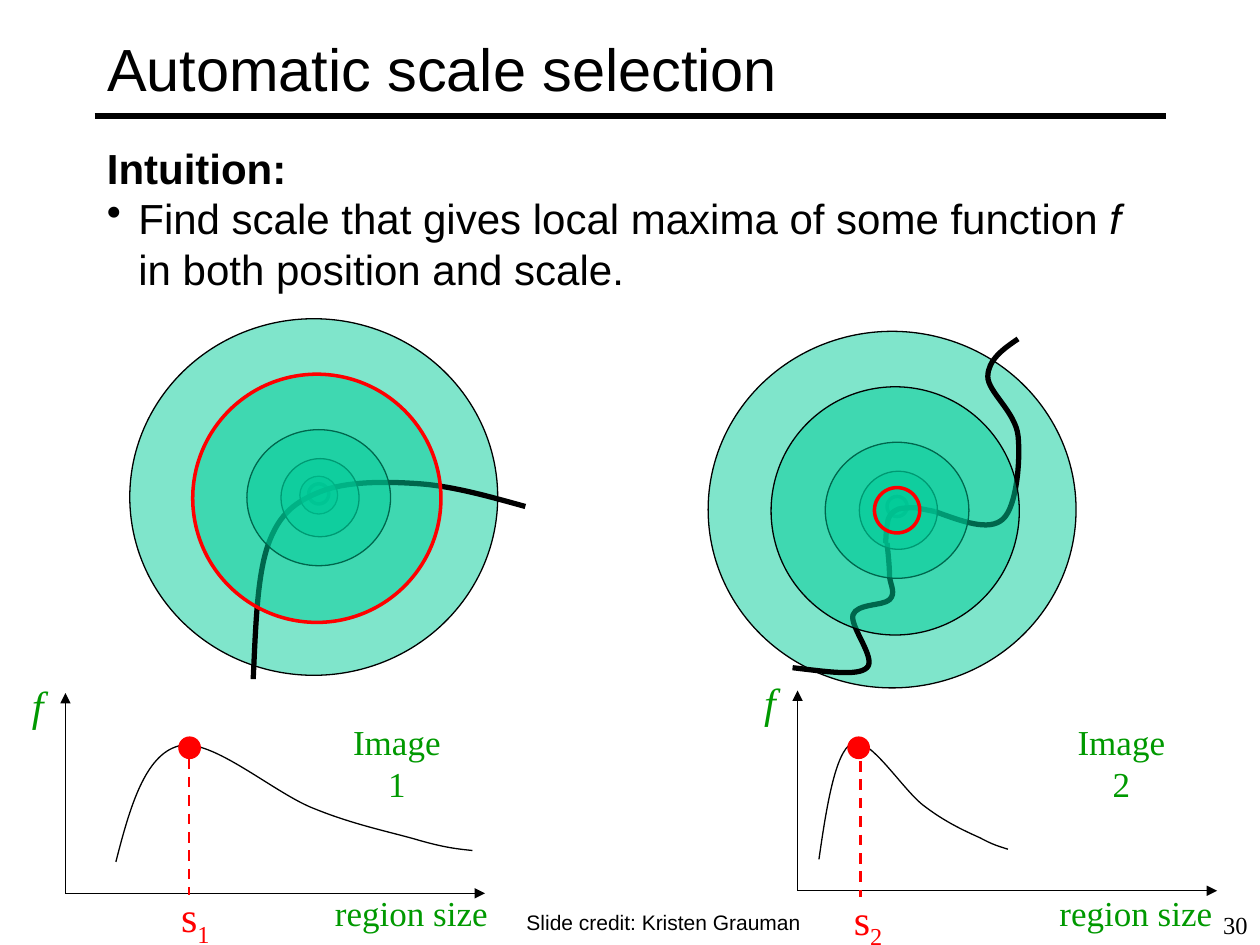
from lxml import etree
from pptx import Presentation
from pptx.dml.color import RGBColor
from pptx.enum import dml, shapes, text
from pptx.oxml.ns import qn
from pptx.util import Inches, Pt


class Theme:
    sans, serif = "Arial", "Times New Roman"
    black, green, red, teal = "000000", "009900", "FF0000", "00CC99"
    title, body, symbol, label, credit, number = 34, 24, 24, 20, 12, 14
    thin, dash, ring, thick = 0.75, 1.5, 2, 3


# Content: runs are (text, format) pairs
TITLE = "Automatic scale selection"
BODY = [
    [("Intuition:", {"bold": True})],
    [("Find scale that gives local maxima of some function ", {}),
     ("f ", {"italic": True}),
     ("in both position and scale.", {})],
]
CREDIT, NUMBER = "Slide credit: Kristen Grauman", "30"

# Rings shared by both images, relative to the image offset
CORE = (2.45, 3.84, 0.16, 0.16)
OUTER = (1.03, 2.53, 2.92, 2.83)
INNER = [(2.23, 3.64, 0.62, 0.62), (1.96, 3.41, 1.14, 1.08), (1.53, 2.97, 1.97, 1.97)]

# Curves list a start point, then three Bezier points for each segment
IMAGES = [
    {
        "name": "Image 1", "scale": "1", "offset": (0, 0),
        "small": (2.38, 3.78, 0.3, 0.3), "best": INNER[-1],
        "edges": [[(2.01, 5.39), (2.03, 4.98), (2.04, 4.57), (2.13, 4.32),
                   (2.22, 4.07), (2.35, 3.98), (2.55, 3.9),
                   (2.75, 3.82), (3.06, 3.82), (3.33, 3.84),
                   (3.6, 3.86), (3.88, 3.94), (4.17, 4.02)]],
        "origin": (0.52, 7.09), "label_left": 2.56, "name_left": 2.6,
        "response": [(0.92, 6.84), (1.03, 6.41), (1.15, 5.99), (1.42, 5.92),
                     (1.68, 5.85), (2.18, 6.3), (2.5, 6.42),
                     (2.82, 6.55), (3.13, 6.61), (3.33, 6.67),
                     (3.54, 6.73), (3.65, 6.74), (3.75, 6.75)],
        "dot_left": 1.42, "peak": (1.5, 6.02), "peak_label": (1.33, 7.02),
    },
    {
        "name": "Image 2", "scale": "2", "offset": (4.59, 0.1),
        "small": (2.35, 3.77, 0.36, 0.36), "best": (2.35, 3.77, 0.36, 0.36),
        "edges": [[(7.42, 4.06), (7.64, 4.14), (7.85, 4.22), (7.96, 4.12),
                   (8.07, 4.02), (8.1, 3.65), (8.08, 3.46),
                   (8.06, 3.27), (7.84, 3.11), (7.84, 2.99),
                   (7.84, 2.86), (7.96, 2.77), (8.08, 2.69)],
                  [(6.29, 5.3), (6.55, 5.33), (6.81, 5.37), (6.88, 5.3),
                   (6.96, 5.23), (6.74, 4.97), (6.77, 4.88),
                   (6.8, 4.79), (7.01, 4.81), (7.06, 4.76),
                   (7.11, 4.71), (7.07, 4.65), (7.06, 4.58),
                   (7.06, 4.5), (7.05, 4.41), (7.04, 4.31)],
                  [(7.03, 4.31), (7.03, 4.24), (7.04, 4.16), (7.05, 4.12),
                   (7.07, 4.07), (7.09, 4.06), (7.13, 4.04),
                   (7.17, 4.03), (7.22, 4.03), (7.27, 4.03),
                   (7.32, 4.04), (7.37, 4.05), (7.42, 4.06)]],
        "origin": (6.33, 7.07), "label_left": 8.31, "name_left": 8.35,
        "response": [(6.5, 6.82), (6.56, 6.4), (6.63, 5.97), (6.76, 5.9),
                     (6.9, 5.83), (7.17, 6.28), (7.34, 6.4),
                     (7.51, 6.53), (7.67, 6.6), (7.78, 6.65),
                     (7.89, 6.71), (7.94, 6.72), (8, 6.74)],
        "dot_left": 6.73, "peak": (6.83, 6.04), "peak_label": (6.67, 7.04),
    },
]


def set_line(line, color, width):
    line.color.rgb = RGBColor.from_string(color)
    line.width = Pt(width)


def write(paragraph, content, size, font=Theme.sans, color=Theme.black,
          align=text.PP_ALIGN.LEFT):
    """Fill a paragraph from a string or a list of (text, format) runs."""
    paragraph.alignment = align
    for words, style in [(content, {})] if isinstance(content, str) else content:
        run = paragraph.add_run()
        run.text = words
        run.font.size, run.font.name = Pt(size), font
        run.font.color.rgb = RGBColor.from_string(color)
        run.font.bold = style.get("bold", False)
        run.font.italic = style.get("italic", False)
        if style.get("subscript"):
            run.font._element.set("baseline", "-25000")


def add_text(slide, box, content, size, wrap=True, grow=True, **style):
    frame = slide.shapes.add_textbox(*map(Inches, box)).text_frame
    frame.word_wrap = wrap
    frame.auto_size = (text.MSO_AUTO_SIZE.SHAPE_TO_FIT_TEXT if grow
                       else text.MSO_AUTO_SIZE.NONE)
    write(frame.paragraphs[0], content, size, **style)
    return frame


def add_circle(slide, box, fill, line, width, offset=(0, 0), alpha=None):
    left, top, *size = box
    shape = slide.shapes.add_shape(
        shapes.MSO_SHAPE.OVAL,
        *map(Inches, (left + offset[0], top + offset[1], *size)))
    shape.shadow.inherit = False
    shape.fill.solid()
    shape.fill.fore_color.rgb = RGBColor.from_string(fill)
    if alpha:
        color = shape._element.spPr.find(qn("a:solidFill"))[0]
        etree.SubElement(color, qn("a:alpha"), val=str(alpha * 1000))
    set_line(shape.line, line, width)


def add_curve(slide, points, width):
    start, *rest = [tuple(map(Inches, point)) for point in points]
    builder = slide.shapes.build_freeform(*start)
    builder.add_line_segments(rest, close=False)
    shape = builder.convert_to_shape()
    shape.shadow.inherit = False
    shape.fill.background()
    set_line(shape.line, Theme.black, width)
    # Turn each three straight pieces into one Bezier segment
    outline = shape._element.find(".//" + qn("a:path"))
    pieces = outline.findall(qn("a:lnTo"))
    for first in range(0, len(pieces), 3):
        segment = etree.SubElement(outline, qn("a:cubicBezTo"))
        for piece in pieces[first:first + 3]:
            segment.append(piece[0])
            outline.remove(piece)


def add_line(slide, start, end, color, width, arrow=False, dashed=False):
    line = slide.shapes.add_connector(
        shapes.MSO_CONNECTOR.STRAIGHT, *map(Inches, (*start, *end)))
    set_line(line.line, color, width)
    if dashed:
        line.line.dash_style = dml.MSO_LINE.DASH
    if arrow:
        etree.SubElement(line.line._get_or_add_ln(), qn("a:tailEnd"), type="triangle")
    etree.SubElement(line._element.spPr, qn("a:effectLst"))


def add_rings(slide, image):
    def ring(box):
        best = box == image["best"]
        width = Theme.ring if best or box == CORE else Theme.thin
        add_circle(slide, box, Theme.teal, Theme.red if best else Theme.black,
                   width, image["offset"], alpha=50)

    ring(CORE)
    ring(OUTER)
    for edge in image["edges"]:
        add_curve(slide, edge, Theme.thick)
    for box in sorted([image["small"], *INNER], key=lambda box: (box == image["best"], box[2])):
        ring(box)


def add_graph(slide, image):
    x, y = origin = image["origin"]
    green = {"font": Theme.serif, "color": Theme.green, "align": text.PP_ALIGN.CENTER}
    # Axes and labels
    for end in ((x + 3.33, y), (x, y - 1.59)):
        add_line(slide, origin, end, Theme.black, Theme.thin, arrow=True)
    add_text(slide, (x - 0.44, y - 1.75, 0.44, 0.5), [("f", {"italic": True})],
             Theme.symbol, **green)
    add_text(slide, (image["label_left"], 7.03, 1.41, 0.43), "region size",
             Theme.label, wrap=False, **green)
    add_text(slide, (image["name_left"], 5.67, 1.1, 0.43), image["name"],
             Theme.label, wrap=False, **green)
    add_curve(slide, image["response"], Theme.thin)
    # Marked maximum
    peak_x, peak_y = image["peak"]
    add_circle(slide, (image["dot_left"], 5.85, 0.17, 0.17), Theme.red, Theme.red, Theme.thin)
    add_line(slide, (peak_x, peak_y), (peak_x, peak_y + 1.08), Theme.red,
             Theme.dash, dashed=True)
    add_text(slide, (*image["peak_label"], 0.44, 0.5),
             [("s", {}), (image["scale"], {"subscript": True})], Theme.symbol,
             wrap=False, **{**green, "color": Theme.red})


def main():
    presentation = Presentation()
    presentation.slide_width, presentation.slide_height = Inches(10), Inches(7.5)
    slide = presentation.slides.add_slide(presentation.slide_layouts[5])

    # Title and rule
    title = slide.shapes.title
    title.left, title.top, title.width, title.height = map(Inches, (0.75, 0.08, 8.5, 0.92))
    title.text_frame.vertical_anchor = text.MSO_ANCHOR.MIDDLE
    write(title.text_frame.paragraphs[0], TITLE, Theme.title)
    add_line(slide, (0.75, 0.92), (9.25, 0.92), Theme.black, Theme.thick)

    # Body
    heading, point = BODY
    frame = add_text(slide, (0.75, 1.08, 8.25, 1.31), heading, Theme.body)
    paragraph = frame.add_paragraph()
    properties = paragraph._p.get_or_add_pPr()
    properties.set("marL", str(Inches(0.25)))
    properties.set("indent", str(Inches(-0.25)))
    etree.SubElement(properties, qn("a:buChar"), char="•")
    write(paragraph, point, Theme.body)

    # Images with their response graphs
    for image in IMAGES:
        add_rings(slide, image)
        add_graph(slide, image)

    # Footer
    add_text(slide, (4.08, 7.17, 5.25, 0.3), CREDIT, Theme.credit)
    add_text(slide, (7.92, 7.17, 2.08, 0.5), NUMBER, Theme.number, grow=False,
             font=Theme.serif, align=text.PP_ALIGN.RIGHT)
    presentation.save("out.pptx")


if __name__ == "__main__":
    main()
